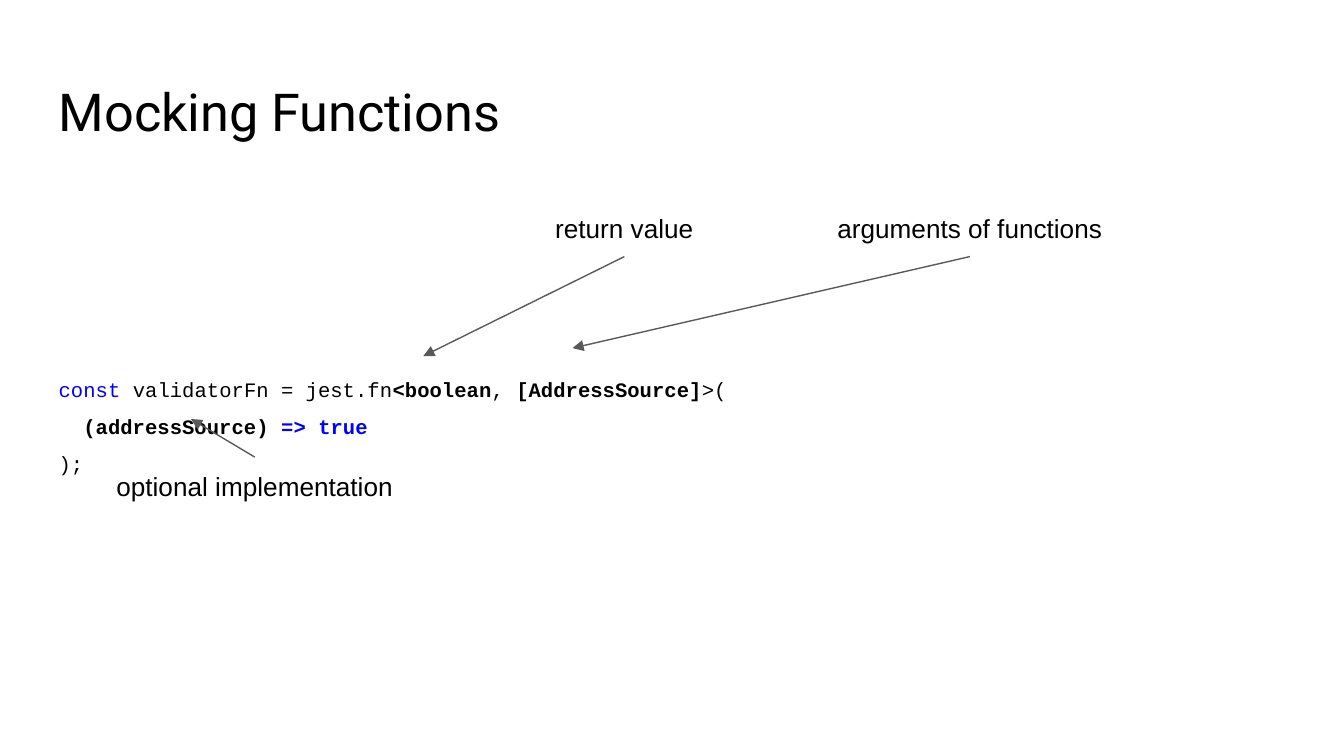
"""Build the Mocking Functions slide: annotated code with labelled arrows."""
from lxml import etree
from pptx import Presentation
from pptx.dml.color import RGBColor
from pptx.enum.shapes import MSO_CONNECTOR
from pptx.enum.text import MSO_ANCHOR, MSO_AUTO_SIZE, PP_ALIGN
from pptx.oxml.ns import qn
from pptx.util import Cm, Pt

STRAIGHT = MSO_CONNECTOR.STRAIGHT
TOP, MIDDLE = MSO_ANCHOR.TOP, MSO_ANCHOR.MIDDLE
LEFT, CENTER = PP_ALIGN.LEFT, PP_ALIGN.CENTER
NO_FIT = MSO_AUTO_SIZE.NONE
TOP_SIDE, BOTTOM_SIDE = 0, 2

COLOURS = {"text": "000000", "keyword": "0000FF", "arrow": "595959"}
MARGIN, CONTENT_WIDTH = 0.86, 23.67
LABEL_HEIGHT = 1.09

CODE_LINES = [
    [
        ("const", "keyword", False),
        (" validatorFn = jest.fn", "text", False),
        ("<boolean", "text", True),
        (",", "text", False),
        (" [AddressSource]", "text", True),
        (">(", "text", False),
    ],
    [
        ("  ", "text", False),
        ("(addressSource) ", "text", True),
        ("=> true", "keyword", True),
    ],
    [(");", "text", False)],
]

LABELS = [
    ("return value", (9.91, 3.76, 3.78), BOTTOM_SIDE, (8, 6.73)),
    ("arguments of functions", (14.99, 3.76, 6.68), BOTTOM_SIDE, (10.82, 6.58)),
    ("optional implementation", (1.22, 8.64, 7.19), TOP_SIDE, (3.61, 7.92)),
]


def apply(target, values):
    """Set every attribute named in values on target."""
    for name, value in values.items():
        setattr(target, name, value)


class SlideBuilder:
    """Hold the style and the current page, and add its elements."""

    def __init__(self, page):
        """Keep the page and the shared frame format."""
        self.page = page
        inset = Cm(0.25)
        self.frame_format = {
            "word_wrap": True, "auto_size": NO_FIT,
            "margin_left": inset, "margin_right": inset,
            "margin_top": inset, "margin_bottom": inset,
        }

    def frame(self, box, anchor=TOP):
        """Format the text frame of a box and return its first paragraph."""
        apply(box.text_frame, {**self.frame_format, "vertical_anchor": anchor})
        return box.text_frame.paragraphs[0]

    def textbox(self, left, top, width, height):
        """Add an empty text box measured in centimetres."""
        return self.page.shapes.add_textbox(Cm(left), Cm(top), Cm(width), Cm(height))

    def span(self, para, text, font, size, colour="text", bold=False):
        """Append one formatted run."""
        span = para.add_run()
        span.text = text
        apply(span.font, {"name": font, "size": Pt(size), "bold": bold})
        span.font.color.rgb = RGBColor.from_string(COLOURS[colour])

    def title(self, text):
        """Place and fill the title placeholder."""
        box = self.page.shapes.title
        apply(box, {"left": Cm(MARGIN), "top": Cm(1.24),
                    "width": Cm(CONTENT_WIDTH), "height": Cm(1.6)})
        para = self.frame(box)
        para.alignment = LEFT
        self.span(para, text, "Roboto", 28)

    def code(self, lines):
        """Add the code listing as one paragraph with line breaks."""
        box = self.textbox(MARGIN, 3.2, CONTENT_WIDTH, 9.5)
        para = self.frame(box, MIDDLE)
        apply(para, {"line_spacing": 1.5, "space_after": Pt(16)})
        for index, line in enumerate(lines):
            if index:
                para.add_line_break()
            for text, colour, bold in line:
                self.span(para, text, "Courier New", 11, colour, bold)

    def label(self, text, place):
        """Add a centred label and return its box."""
        box = self.textbox(*place, LABEL_HEIGHT)
        para = self.frame(box)
        para.alignment = CENTER
        self.span(para, text, "Arial", 14)
        return box

    def arrow(self, box, side, target):
        """Draw an arrow from one side of a box to a target point."""
        end_x, end_y = (Cm(value) for value in target)
        arrow = self.page.shapes.add_connector(STRAIGHT, box.left, box.top, end_x, end_y)
        arrow.begin_connect(box, side)
        arrow.line.width = Pt(0.75)
        arrow.line.color.rgb = RGBColor.from_string(COLOURS["arrow"])
        properties = arrow.line._get_or_add_ln()
        etree.SubElement(properties, qn("a:tailEnd"), type="triangle")
        etree.SubElement(properties.getparent(), qn("a:effectLst"))


def main():
    """Create the deck and save it."""
    deck = Presentation()
    apply(deck, {"slide_width": Cm(25.4), "slide_height": Cm(14.29)})
    builder = SlideBuilder(deck.slides.add_slide(deck.slide_layouts[5]))
    builder.title("Mocking Functions")
    builder.code(CODE_LINES)
    for text, place, side, target in LABELS:
        builder.arrow(builder.label(text, place), side, target)
    deck.save("out.pptx")


if __name__ == "__main__":
    main()
